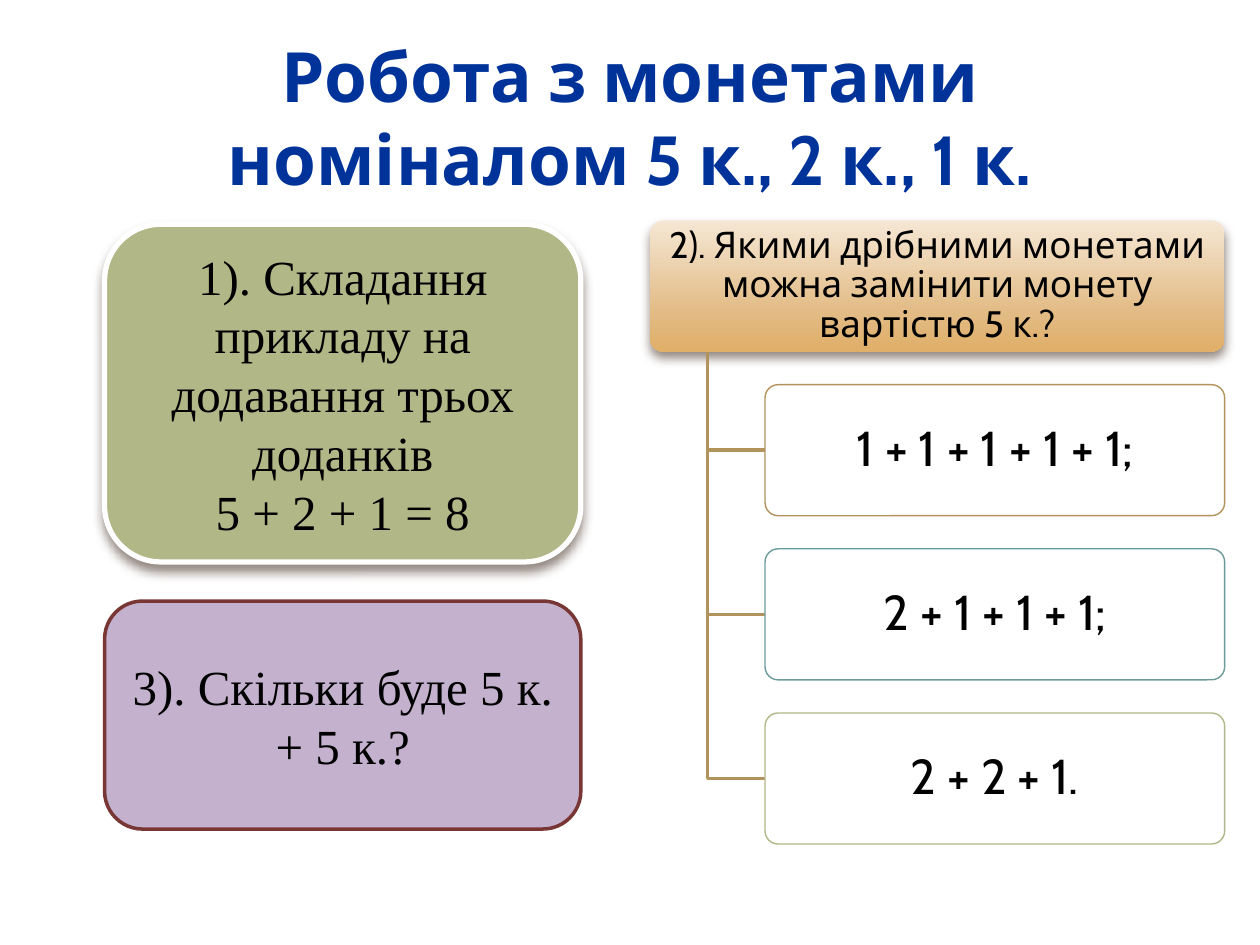
from dataclasses import dataclass

from pptx import Presentation
from pptx.dml.color import RGBColor as RGB
from pptx.enum.shapes import MSO_SHAPE as Shape
from pptx.enum.text import MSO_ANCHOR as Anchor, PP_ALIGN as Align
from pptx.oxml import parse_xml
from pptx.oxml.ns import nsdecls
from pptx.util import Inches, Pt


@dataclass(frozen=True)
class Theme:
    """Colours, fonts and type sizes of the slide."""
    ink: str = "000000"
    title: str = "00339A"
    title_edge: str = "F2F2F2"
    white: str = "FFFFFF"
    green: str = "B2B787"
    lilac: str = "C3B1CE"
    maroon: str = "783735"
    gold: str = "B2935C"
    teal: str = "6A9A9A"
    shadow: str = "4E3B30"
    header: tuple = ((0, "F5E7D4"), (72, "E2BA83"), (100, "E0AF68"))
    sans: str = "Cabin"
    serif: str = "Times New Roman"
    title_size: float = 39.6
    body_size: float = 28
    header_size: float = 21


T = Theme()
LEFT_X, LEFT_W = 0.83, 3.78
TREE_X, TREE_Y, TREE_W = 5.16, 1.75, 4.56
ROW_H, ROW_PITCH = 1.04, 1.303
INDENT = TREE_W / 5
TRUNK_X = TREE_X + INDENT / 2


def write(sp, lines, size, font, color=T.ink, bold=None, spacing=None, margins=None):
    """Fill a shape with centred paragraphs."""
    tf = sp.text_frame
    tf.word_wrap = True
    tf.vertical_anchor = Anchor.MIDDLE
    if margins:
        tf.margin_left = tf.margin_right = Inches(margins[0])
        tf.margin_top = tf.margin_bottom = Inches(margins[1])
    for i, line in enumerate(lines):
        p = tf.paragraphs[0] if i == 0 else tf.add_paragraph()
        p.text = line
        p.alignment = Align.CENTER
        if spacing:
            p.line_spacing = spacing
        p.font.size, p.font.name, p.font.bold = Pt(size), font, bold
        p.font.color.rgb = RGB.from_string(color)
    return tf


def add_title(s, text):
    """Add the outlined slide title."""
    sp = s.shapes.add_textbox(Inches(0.5), Inches(0.3), Inches(9), Inches(1.25))
    tf = write(sp, [text], T.title_size, T.sans, T.title, bold=True)
    edge = parse_xml(
        f'<a:ln {nsdecls("a")} w="1905"><a:solidFill>'
        f'<a:srgbClr val="{T.title_edge}"/></a:solidFill></a:ln>')
    tf.paragraphs[0].runs[0].font._element.insert(0, edge)


def add_card(s, x, y, w, h, fill=None, line=None, width=1.0, radius=None):
    """Add a rounded card with an optional solid fill and outline."""
    sp = s.shapes.add_shape(Shape.ROUNDED_RECTANGLE,
                            Inches(x), Inches(y), Inches(w), Inches(h))
    sp.shadow.inherit = False
    if radius:
        sp.adjustments[0] = radius
    if fill:
        sp.fill.solid()
        sp.fill.fore_color.rgb = RGB.from_string(fill)
    if line:
        sp.line.color.rgb = RGB.from_string(line)
        sp.line.width = Pt(width)
    else:
        sp.line.fill.background()
    return sp


def drop_shadow(sp):
    """Give a shape a soft shadow below it."""
    effects = sp._element.spPr.find(
        "{http://schemas.openxmlformats.org/drawingml/2006/main}effectLst")
    effects.append(parse_xml(
        f'<a:outerShdw {nsdecls("a")} blurRad="{Pt(6)}" dist="{Pt(4)}" '
        f'dir="5400000" rotWithShape="0"><a:srgbClr val="{T.shadow}">'
        f'<a:alpha val="60000"/></a:srgbClr></a:outerShdw>'))


def fade(sp, stops):
    """Fill a shape with a top-to-bottom gradient."""
    sp.fill.gradient()
    sp.fill.gradient_angle = 270
    gs_list = sp.fill.gradient_stops[0]._gs.getparent()
    for gs in list(gs_list):
        gs_list.remove(gs)
    for share, color in stops:
        gs_list.append(parse_xml(
            f'<a:gs {nsdecls("a")} pos="{share * 1000}">'
            f'<a:srgbClr val="{color}"/></a:gs>'))


def add_branch(s, y):
    """Draw an elbow from the tree header to the row centred at y."""
    points = [(TRUNK_X, TREE_Y + ROW_H), (TRUNK_X, y), (TREE_X + INDENT, y)]
    start, *rest = [(Inches(px), Inches(py)) for px, py in points]
    builder = s.shapes.build_freeform(*start)
    builder.add_line_segments(rest, close=False)
    sp = builder.convert_to_shape()
    sp.shadow.inherit = False
    sp.fill.background()
    sp.line.color.rgb = RGB.from_string(T.gold)
    sp.line.width = Pt(2)


def add_tree(s, question, answers):
    """Add the question header with its answers branching below."""
    sp = add_card(s, TREE_X, TREE_Y, TREE_W, ROW_H, radius=0.1)
    fade(sp, T.header)
    drop_shadow(sp)
    write(sp, [question], T.header_size, T.sans, spacing=0.9, margins=(0.04, 0.03))
    for row, (text, color) in enumerate(answers, start=1):
        y = TREE_Y + row * ROW_PITCH
        add_branch(s, y + ROW_H / 2)
        sp = add_card(s, TREE_X + INDENT, y, TREE_W - INDENT, ROW_H,
                      T.white, color, 0.79, radius=0.1)
        write(sp, [text], T.body_size, T.sans, spacing=0.9, margins=(0.06, 0.04))


def main():
    """Build and save the slide."""
    prs = Presentation()
    prs.slide_width, prs.slide_height = Inches(10), Inches(7.5)
    s = prs.slides.add_slide(prs.slide_layouts[6])
    add_title(s, "Робота з монетами номіналом 5 к., 2 к., 1 к.")
    add_tree(s, "2). Якими дрібними монетами можна замінити монету вартістю 5 к.?", [
        ("1 + 1 + 1 + 1 + 1;", T.gold),
        ("2 + 1 + 1 + 1;", T.teal),
        ("2 + 2 + 1.", T.green),
    ])
    sp = add_card(s, LEFT_X, 4.77, LEFT_W, 1.81, T.lilac, T.maroon, 2)
    write(sp, ["3). Скільки буде 5 к. + 5 к.?"], T.body_size, T.serif)
    sp = add_card(s, LEFT_X, 1.78, LEFT_W, 2.68, T.green, T.white, 3)
    drop_shadow(sp)
    write(sp, ["1). Складання прикладу на додавання трьох доданків", "5 + 2 + 1 = 8"],
          T.body_size, T.serif)
    prs.save("out.pptx")


if __name__ == "__main__":
    main()
